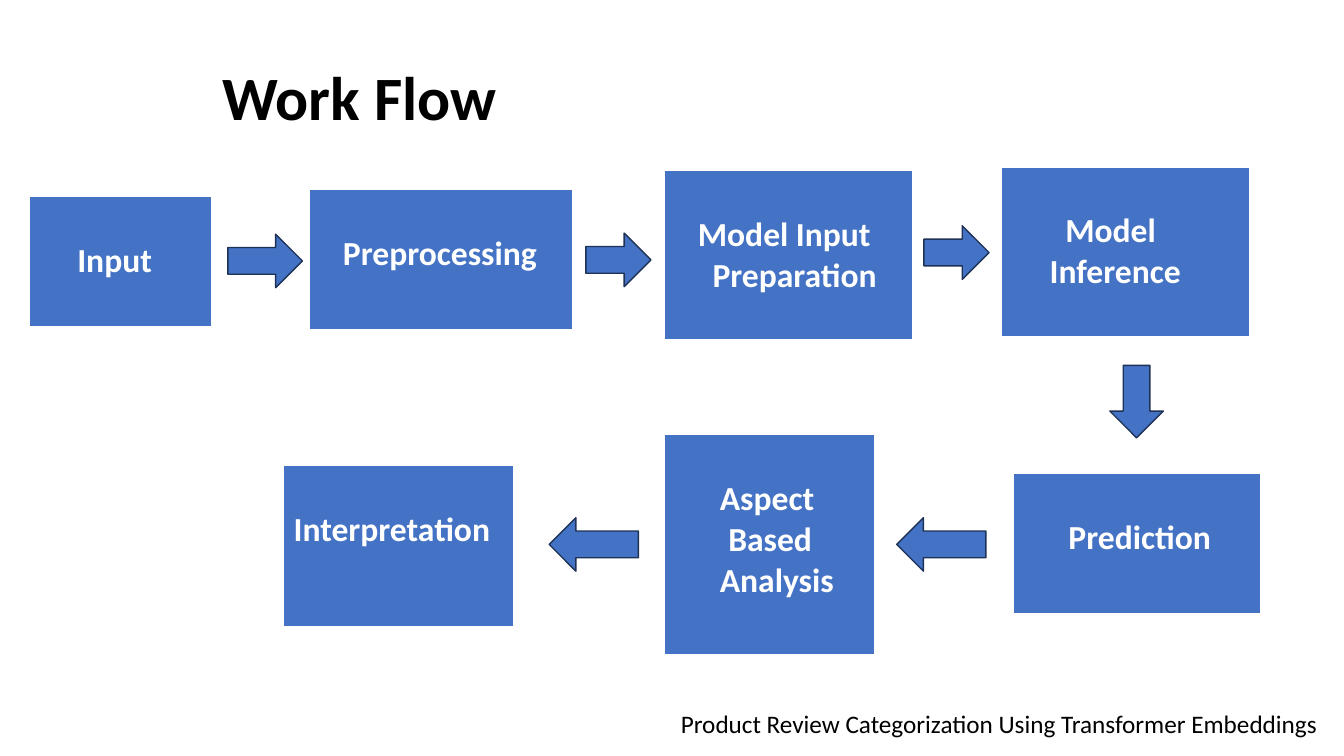
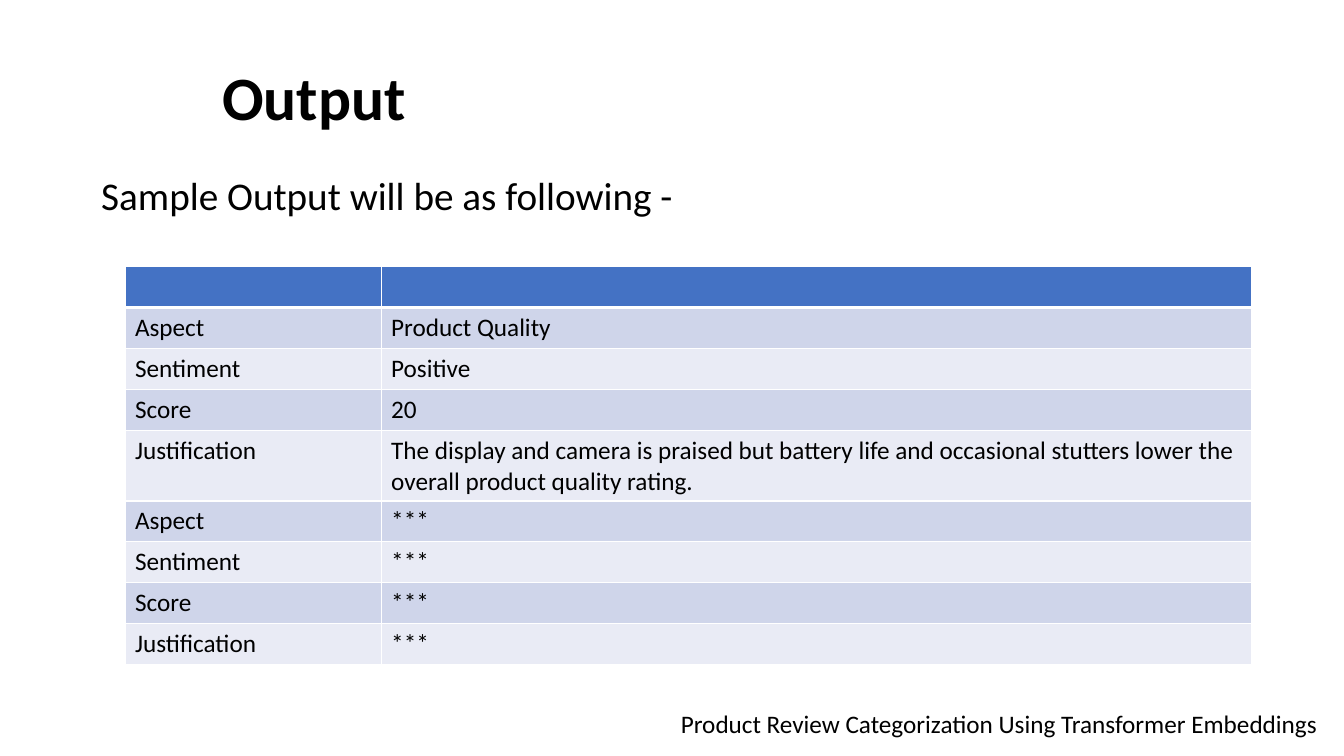
from dataclasses import dataclass

from lxml.etree import SubElement
from pptx import Presentation
from pptx.dml.color import RGBColor
from pptx.enum.shapes import MSO_SHAPE as Preset
from pptx.enum.text import MSO_ANCHOR as Anchor, MSO_AUTO_SIZE as AutoSize, PP_ALIGN as Align
from pptx.oxml.ns import qn
from pptx.util import Emu, Pt

EMU_PER_PX = 9525
FOOTER = "Product Review Categorization Using Transformer Embeddings"


@dataclass(frozen=True)
class Theme:
    font: str = "Calibri"
    blue: RGBColor = RGBColor(0x44, 0x72, 0xC4)
    outline: RGBColor = RGBColor(0x1E, 0x32, 0x56)
    band_dark: RGBColor = RGBColor(0xCF, 0xD5, 0xEA)
    band_light: RGBColor = RGBColor(0xE9, 0xEB, 0xF5)
    black: RGBColor = RGBColor(0, 0, 0)
    white: RGBColor = RGBColor(255, 255, 255)
    title: int = 44
    lead: int = 28
    step: int = 24
    body: int = 18


THEME = Theme()

STEPS = [
    ((28, 187, 174, 125), [("Input", 36)]),
    ((295, 180, 250, 135), [("Preprocessing", 22)]),
    ((633, 162, 236, 163), [("Model Input", 22), ("Preparation", 36)]),
    ((954, 159, 236, 163), [("Model", 51), ("Inference", 36)]),
    ((965, 451, 236, 135), [("Prediction", 43)]),
    ((633, 414, 200, 211), [("Aspect", 43), ("Based", 51), ("Analysis", 43)]),
    ((270, 443, 219, 155), [("Interpretation", 0)]),
]

ARROWS = [
    (Preset.RIGHT_ARROW, (217, 223, 71, 51)),
    (Preset.RIGHT_ARROW, (558, 222, 62, 51)),
    (Preset.RIGHT_ARROW, (880, 215, 62, 51)),
    (Preset.DOWN_ARROW, (1057, 348, 51, 69)),
    (Preset.LEFT_ARROW, (854, 493, 85, 51)),
    (Preset.LEFT_ARROW, (523, 493, 85, 51)),
]

ROW_HEIGHT = 39
TWO_LINE_HEIGHT = 67
OUTPUT_ROWS = [
    (ROW_HEIGHT, "", ""),
    (ROW_HEIGHT, "Aspect", "Product Quality"),
    (ROW_HEIGHT, "Sentiment", "Positive"),
    (ROW_HEIGHT, "Score", "20"),
    (TWO_LINE_HEIGHT, "Justification",
     "The display and camera is praised but battery life and occasional "
     "stutters lower the overall product quality rating."),
    (ROW_HEIGHT, "Aspect", "***"),
    (ROW_HEIGHT, "Sentiment", "***"),
    (ROW_HEIGHT, "Score", "***"),
    (ROW_HEIGHT, "Justification", "***"),
]


def px(value):
    return Emu(value * EMU_PER_PX)


def place(box):
    return [px(length) for length in box]


def style(paragraph, size, color, bold=False):
    font = paragraph.font
    font.name, font.size, font.bold = THEME.font, Pt(size), bold
    font.color.rgb = color
    paragraph.alignment = Align.LEFT


def add_title_slide(presentation, title, title_width):
    slide = presentation.slides.add_slide(presentation.slide_layouts[5])
    shape = slide.shapes.title
    shape.left, shape.top, shape.width, shape.height = place((202, 42, title_width, 108))
    frame = shape.text_frame
    frame.text = title
    frame.auto_size = AutoSize.NONE
    frame.vertical_anchor = Anchor.MIDDLE
    paragraph = frame.paragraphs[0]
    paragraph.line_spacing = 0.9
    style(paragraph, THEME.title, THEME.black, bold=True)
    add_text(slide, (639, 670, 640, 38), FOOTER, THEME.body)
    return slide


def add_text(slide, box, text, size, line_spacing=1.0):
    frame = slide.shapes.add_textbox(*place(box)).text_frame
    frame.word_wrap = True
    frame.text = text
    paragraph = frame.paragraphs[0]
    paragraph.line_spacing = line_spacing
    style(paragraph, size, THEME.black)


def add_arrow(slide, preset, box):
    arrow = slide.shapes.add_shape(preset, *place(box))
    arrow.shadow.inherit = False
    arrow.fill.solid()
    arrow.fill.fore_color.rgb = THEME.blue
    arrow.line.color.rgb = THEME.outline
    arrow.line.width = Pt(1)


def paint_cell(cell, color, top=1, bottom=1):
    properties = cell._tc.get_or_add_tcPr()
    for edge, width in (("lnL", 1), ("lnR", 1), ("lnT", top), ("lnB", bottom)):
        line = SubElement(properties, qn(f"a:{edge}"), w=str(Pt(width)))
        fill = SubElement(line, qn("a:solidFill"))
        SubElement(fill, qn("a:srgbClr"), val=str(THEME.white))
    cell.fill.solid()
    cell.fill.fore_color.rgb = color


def add_step(slide, box, lines):
    cell = slide.shapes.add_table(1, 1, *place(box)).table.cell(0, 0)
    cell.margin_top = px(42)
    cell.text = "\n".join(text for text, _ in lines)
    for paragraph, (_, indent) in zip(cell.text_frame.paragraphs, lines):
        style(paragraph, THEME.step, THEME.white, bold=True)
        paragraph._p.get_or_add_pPr().set("marL", str(px(indent)))
    paint_cell(cell, THEME.blue, bottom=3)


def row_color(index):
    if index == 0:
        return THEME.blue
    return THEME.band_dark if index % 2 else THEME.band_light


def add_output_table(slide, box, column_widths, rows):
    table = slide.shapes.add_table(len(rows), len(column_widths), *place(box)).table
    for column, width in zip(table.columns, column_widths):
        column.width = px(width)
    for index, (row, (height, *texts)) in enumerate(zip(table.rows, rows)):
        row.height = px(height)
        for cell, text in zip(row.cells, texts):
            cell.text = text
            style(cell.text_frame.paragraphs[0], THEME.body, THEME.black)
            paint_cell(cell, row_color(index),
                       top=3 if index == 1 else 1, bottom=3 if index == 0 else 1)


def build_work_flow(presentation):
    slide = add_title_slide(presentation, "Work Flow", 650)
    for box, lines in STEPS:
        add_step(slide, box, lines)
    for preset, box in ARROWS:
        add_arrow(slide, preset, box)


def build_output(presentation):
    slide = add_title_slide(presentation, "Output", 597)
    add_text(slide, (87, 163, 1104, 50), "Sample Output will be as following -",
             THEME.lead, line_spacing=0.9)
    add_output_table(slide, (119, 254, 1073, 379), (244, 829), OUTPUT_ROWS)


def main():
    presentation = Presentation()
    presentation.slide_width, presentation.slide_height = px(1280), px(720)
    build_work_flow(presentation)
    build_output(presentation)
    presentation.save("out.pptx")


if __name__ == "__main__":
    main()
